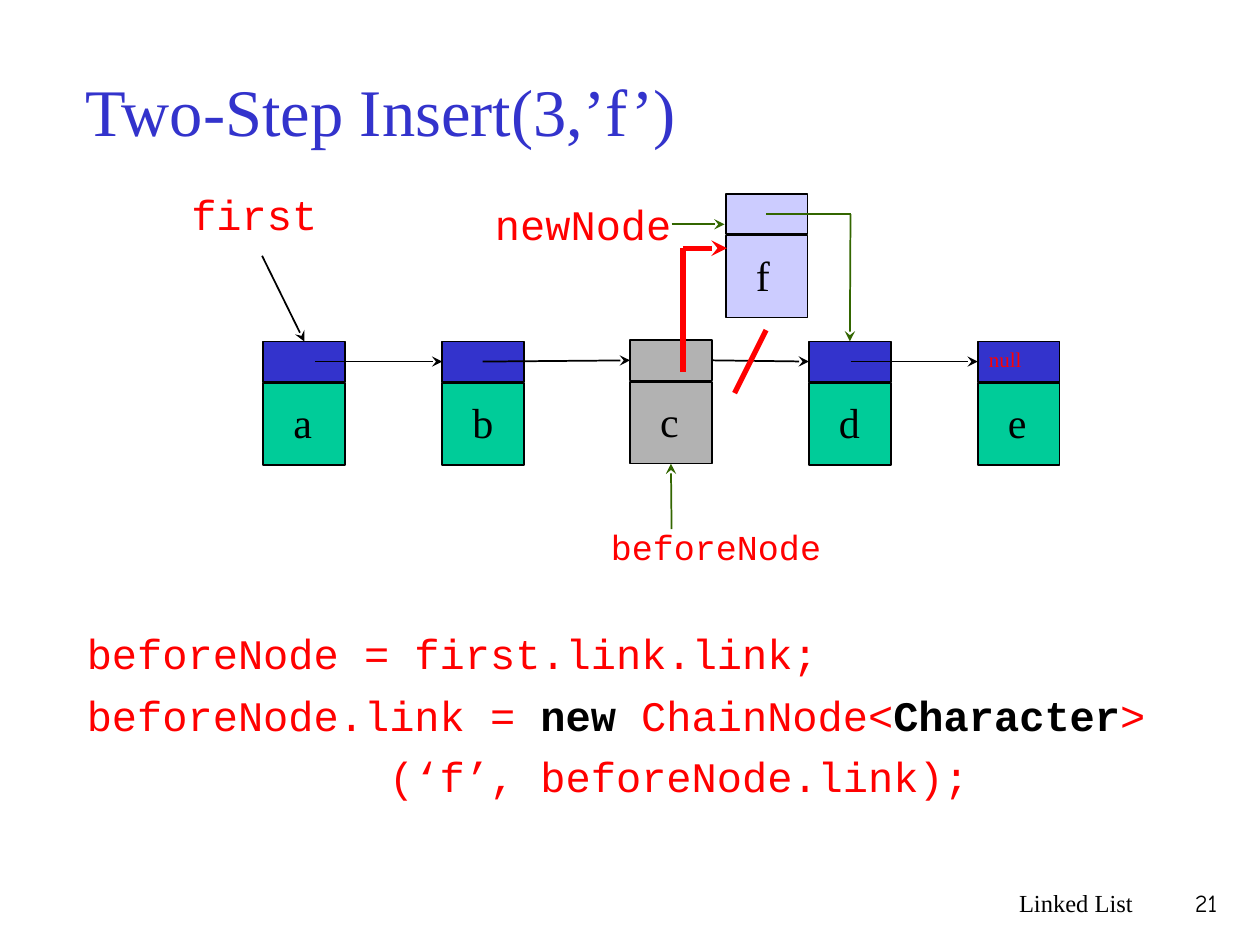
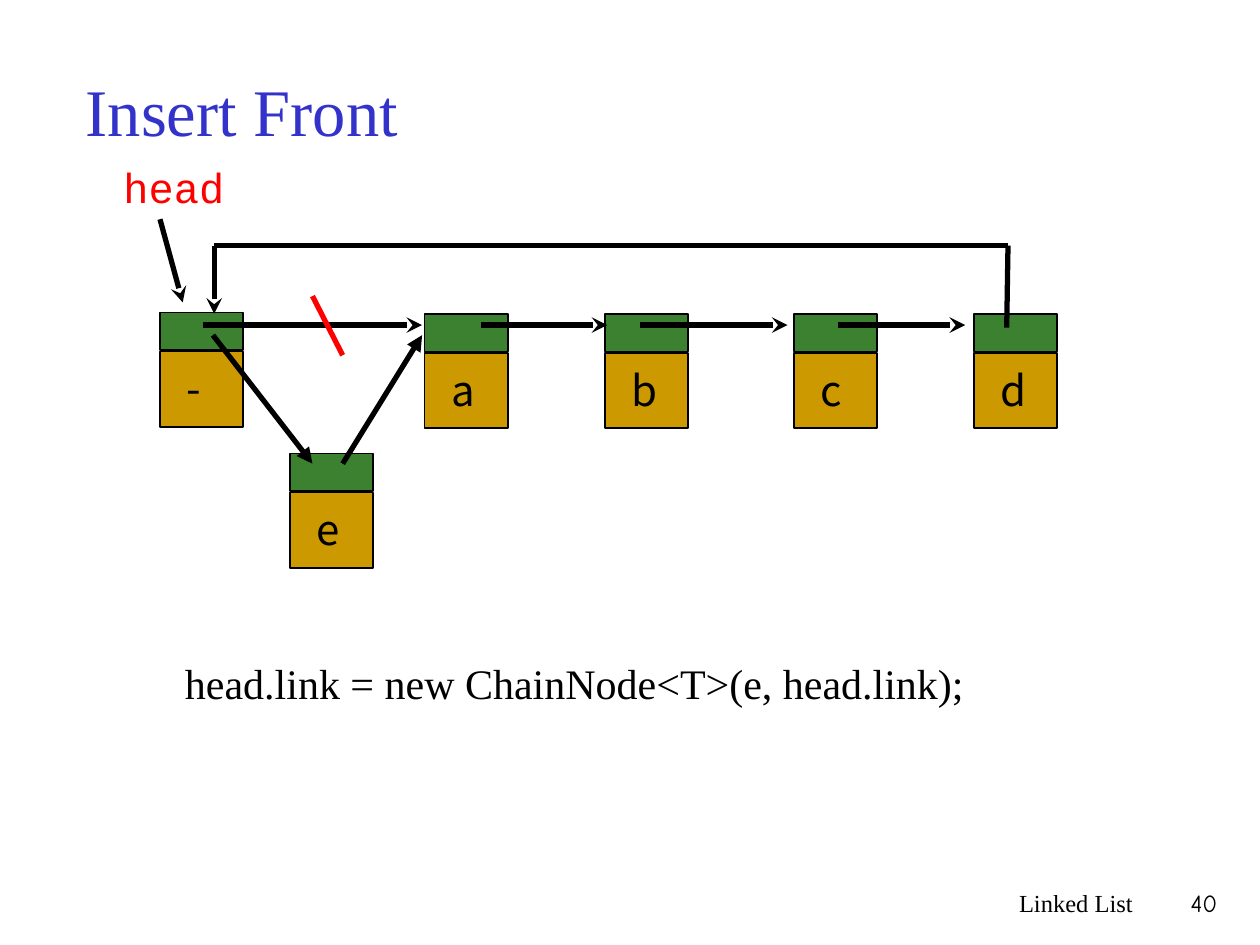
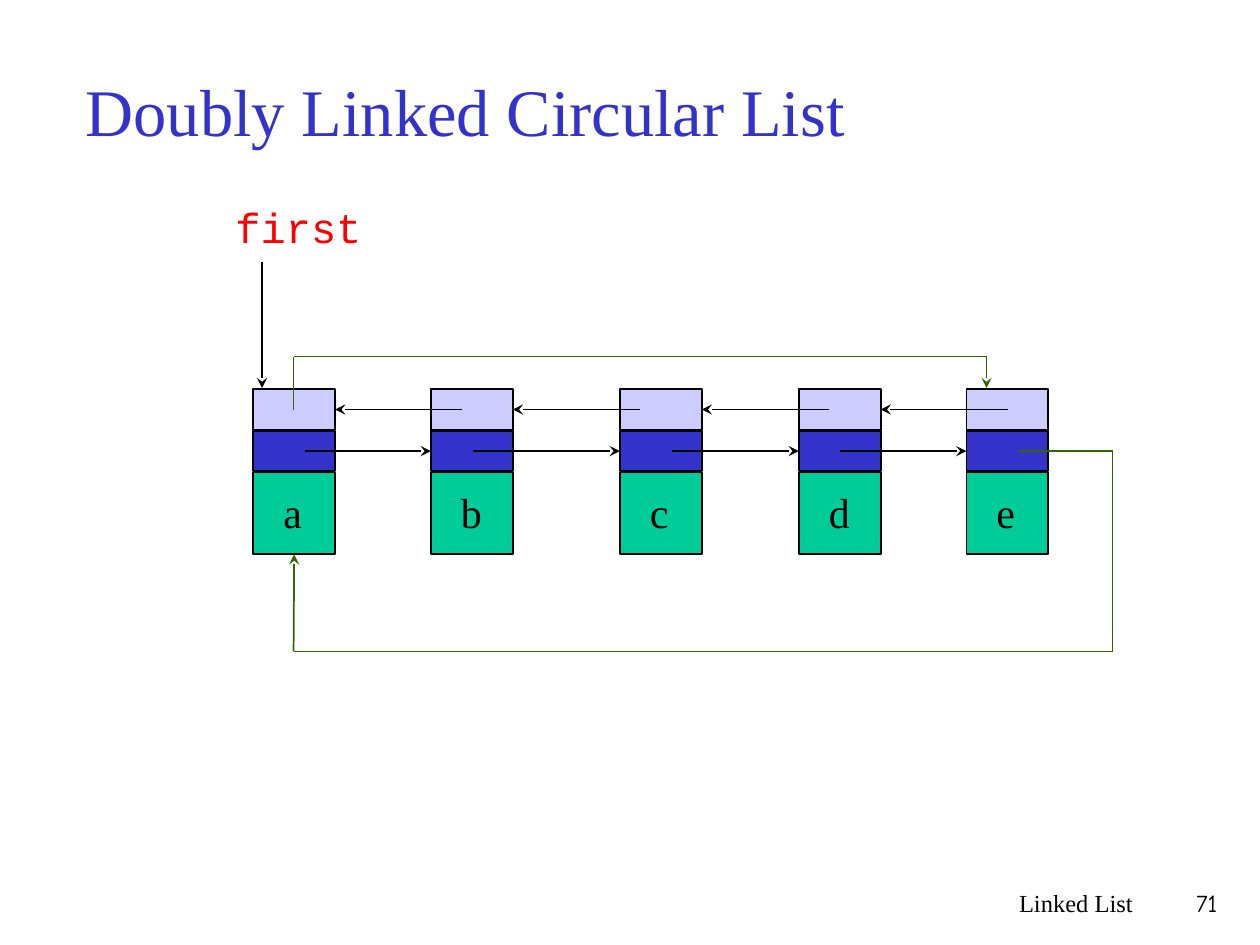
"""Build three slides that show pointer changes in linked lists."""
from lxml import etree
from pptx import Presentation
from pptx.dml.color import RGBColor
from pptx.enum.shapes import MSO_CONNECTOR, MSO_SHAPE
from pptx.enum.text import MSO_ANCHOR, PP_ALIGN
from pptx.oxml.ns import qn
from pptx.util import Inches, Pt

STRAIGHT, RECT = MSO_CONNECTOR.STRAIGHT, MSO_SHAPE.RECTANGLE
LEFT, RIGHT, MIDDLE = PP_ALIGN.LEFT, PP_ALIGN.RIGHT, MSO_ANCHOR.MIDDLE
TOP_SIDE, LEFT_SIDE, BOTTOM_SIDE, RIGHT_SIDE = range(4)

COLORS = {
    "black": "000000", "red": "FF0000", "blue": "3333CC", "teal": "00CC99",
    "lilac": "CCCCFF", "gray": "B2B2B2", "green": "336600",
    "leaf": "3B812F", "gold": "CC9900",
}
SERIF, MONO, SANS, COMIC = "Times New Roman", "Courier New", "Noto Sans CJK KR", "Comic Neue"
TITLE = dict(name=SERIF, size=38, color="blue")
LABEL = dict(name=MONO, size=24, color="red")
SMALL_LABEL = dict(name=MONO, size=20, color="red")
NULL = dict(name=SERIF, size=12, color="red")
KEYWORD = dict(name=MONO, size=24, color="black", bold=True)
SERIF_TEXT = dict(name=SERIF, size=24, color="black")
SANS_TEXT = dict(name=SANS, size=24, color="black")
FOOTER = dict(name=SERIF, size=14, color="black")
NUMBER = dict(name=COMIC, size=14, color="black")

WIDE, TIGHT = (0.1, 0.05), (0.07, 0.04)
LARGE_NODE = dict(width=0.65, link=0.32, data=0.65, step=0.33,
                  letter=(0.14, 0.06, 0.35, 0.5), font=SERIF_TEXT, inset=WIDE)
SMALL_NODE = dict(width=0.66, link=0.3, data=0.6, step=0.31,
                  letter=(0.14, 0.05, 0.33, 0.47), font=SANS_TEXT, inset=TIGHT)

BLACK = dict(color="black", width=1, tail="stealth")
GREEN = dict(color="green", width=1, tail="stealth")
THICK = dict(color="black", width=3, tail="stealth")
THICK_TRIANGLE = dict(color="black", width=3, tail="triangle")
RED = dict(color="red", width=3, tail="stealth")
RED_SLASH = dict(color="red", width=3, tail=None)

USUAL = dict(link="blue", data="teal")
DOUBLE = dict(prev="lilac", link="blue", data="teal")
NEW = dict(link="lilac", data="lilac")
FOUND = dict(link="gray", data="gray")
CIRCULAR = dict(link="leaf", data="gold")

SLIDES = [
    dict(
        title="Two-Step Insert(3,’f’)", number="21", node=LARGE_NODE,
        nodes=[("a", 2.09, 2.71, USUAL), ("b", 3.51, 2.71, USUAL),
               ("c", 5, 2.7, FOUND), ("d", 6.42, 2.71, USUAL),
               ("e", 7.76, 2.71, USUAL), ("f", 5.76, 1.54, NEW)],
        paths=[
            (BLACK, (2.5, 2.87), ("b", "link", LEFT_SIDE)),
            (BLACK, (3.83, 2.87), ("c", "link", LEFT_SIDE)),
            (BLACK, ("c", "link", RIGHT_SIDE), ("d", "link", LEFT_SIDE)),
            (BLACK, (6.75, 2.87), ("e", "link", LEFT_SIDE)),
            (BLACK, (2.08, 2.03), ("a", "link", TOP_SIDE)),
            (GREEN, (6.08, 1.7), (6.75, 1.7), ("d", "link", TOP_SIDE)),
            (GREEN, (5.33, 1.78), (5.75, 1.78)),
            (GREEN, (5.33, 4.2), ("c", "data", BOTTOM_SIDE)),
            (RED_SLASH, (6.08, 2.62), (5.83, 3.12)),
            (RED, (5.42, 2.95), (5.42, 1.97), (5.77, 1.97)),
        ],
        labels=[("null", (7.75, 2.7, 0.67, 0.3), NULL),
                ("first", (1.42, 1.45, 1.83, 0.5), LABEL),
                ("newNode", (3.83, 1.53, 1.67, 0.5), LABEL),
                ("beforeNode", (4.75, 4.12, 2, 0.43), SMALL_LABEL)],
        code_box=(0.59, 4.93, 8.85, 1.47),
        code=[
            (0, [("beforeNode = first.link.link;", LABEL)]),
            (0, [("beforeNode.link = ", LABEL), ("new ", KEYWORD), ("ChainNode<", LABEL),
                 ("Character", KEYWORD), (">", LABEL)]),
            (2.4, [("(‘f’, beforeNode.link);", LABEL)]),
        ],
    ),
    dict(
        title="Insert Front", number="40", node=SMALL_NODE,
        nodes=[("a", 3.37, 2.49, CIRCULAR), ("b", 4.8, 2.49, CIRCULAR),
               ("c", 6.3, 2.49, CIRCULAR), ("d", 7.73, 2.49, CIRCULAR),
               ("-", 1.27, 2.48, CIRCULAR), ("e", 2.3, 3.6, CIRCULAR)],
        paths=[
            (THICK, (1.61, 2.58), (3.35, 2.58)),
            (THICK, (3.82, 2.58), (4.82, 2.58)),
            (THICK, (5.08, 2.58), (6.25, 2.58)),
            (THICK, (6.65, 2.58), (7.66, 2.58)),
            (THICK, (1.27, 1.74), (1.45, 2.4)),
            (THICK, (7.99, 2.6), (8, 1.95), (1.7, 1.95), (1.7, 2.49)),
            (THICK_TRIANGLE, (2.72, 3.68), (3.35, 2.66)),
            (THICK_TRIANGLE, (1.69, 2.66), (2.48, 3.68)),
            (RED_SLASH, (2.48, 2.35), (2.72, 2.82)),
        ],
        labels=[("head", (0.91, 1.24, 1.43, 0.66), LABEL)],
        code_box=(1.37, 5.17, 6.44, 0.46),
        code=[(0, [("head.link = new ChainNode<T>(e, head.link);", SERIF_TEXT)])],
    ),
    dict(
        title="Doubly Linked Circular List", number="71", node=LARGE_NODE,
        nodes=[(letter, x, 3.42, DOUBLE)
               for letter, x in zip("abcde", (2.01, 3.42, 4.92, 6.34, 7.67))],
        paths=[
            *[(BLACK, (x, 3.58), (letter, "link", LEFT_SIDE))
              for letter, x in zip("bcde", (2.42, 3.75, 5.33, 6.67))],
            *[(BLACK, (x, 3.25), (letter, "prev", RIGHT_SIDE))
              for letter, x in zip("abcd", (3.67, 5.08, 6.58, 8))],
            (BLACK, (2.08, 2.08), (2.08, 3.08)),
            (GREEN, (8.08, 3.58), (8.83, 3.58), (8.83, 5.17), (2.33, 5.17),
             ("a", "data", BOTTOM_SIDE)),
            (GREEN, (2.33, 3.25), (2.33, 2.83), (7.83, 2.83), (7.83, 3.08)),
        ],
        labels=[("first", (1.77, 1.55, 1.83, 0.5), LABEL)],
    ),
]


def rgb(name):
    return RGBColor.from_string(COLORS[name])


def inches(values):
    return [Inches(v) for v in values]


def format_run(r, style):
    values = dict(style)
    r.font.color.rgb = rgb(values.pop("color"))
    values["size"] = Pt(values["size"])
    for key, value in values.items():
        setattr(r.font, key, value)


def add_text(s, box, paragraphs, inset=WIDE, wrap=True, align=LEFT, gap=0):
    tf = s.shapes.add_textbox(*inches(box)).text_frame
    x, y = inches(inset)
    for key, value in dict(word_wrap=wrap, margin_left=x, margin_right=x,
                           margin_top=y, margin_bottom=y).items():
        setattr(tf, key, value)
    for i, (indent, runs) in enumerate(paragraphs):
        p = tf.add_paragraph() if i else tf.paragraphs[0]
        p.alignment = align
        p.space_after = Pt(gap)
        if indent:
            p._p.get_or_add_pPr().set("marL", str(Inches(indent)))
        for text, style in runs:
            r = p.add_run()
            r.text = text
            format_run(r, style)


def add_cell(s, box, color):
    sp = s.shapes.add_shape(RECT, *inches(box))
    sp.shadow.inherit = False
    sp.fill.solid()
    sp.fill.fore_color.rgb = rgb(color)
    sp.line.color.rgb = rgb("black")
    sp.line.width = Pt(1)
    return sp


def add_node(s, letter, x, y, colors, node):
    tops = dict(prev=y - node["step"], link=y, data=y + node["step"])
    cells = {}
    for part, color in colors.items():
        height = node["data" if part == "data" else "link"]
        cells[part] = add_cell(s, (x, tops[part], node["width"], height), color)
    dx, dy, w, h = node["letter"]
    add_text(s, (x + dx, tops["data"] + dy, w, h), [(0, [(letter, node["font"])])],
             inset=node["inset"], wrap=False)
    return cells


def add_segment(s, start, end, cells, style, tail):
    points = [p if len(p) == 2 else (0, 0) for p in (start, end)]
    c = s.shapes.add_connector(STRAIGHT, *inches(points[0] + points[1]))
    for point, connect in ((start, c.begin_connect), (end, c.end_connect)):
        if len(point) == 3:
            letter, part, side = point
            connect(cells[letter][part], side)
    c.line.color.rgb = rgb(style["color"])
    c.line.width = Pt(style["width"])
    spPr = c._element.spPr
    if tail:
        etree.SubElement(spPr.find(qn("a:ln")), qn("a:tailEnd"), type=tail)
    etree.SubElement(spPr, qn("a:effectLst"))


def add_path(s, style, points, cells):
    last = len(points) - 2
    for i, (start, end) in enumerate(zip(points, points[1:])):
        add_segment(s, start, end, cells, style, style["tail"] if i == last else None)


def add_title(s, text):
    sp = s.shapes.title
    sp.left, sp.top, sp.width, sp.height = inches((0.58, 0.25, 8.5, 1.25))
    tf = sp.text_frame
    tf.vertical_anchor = MIDDLE
    p = tf.paragraphs[0]
    p.alignment = LEFT
    r = p.add_run()
    r.text = text
    format_run(r, TITLE)


def add_slide(prs, content):
    s = prs.slides.add_slide(prs.slide_layouts[5])
    add_title(s, content["title"])
    node = content["node"]
    cells = {n[0]: add_node(s, *n, node) for n in content["nodes"]}
    for style, *points in content["paths"]:
        add_path(s, style, points, cells)
    for text, box, style in content["labels"]:
        add_text(s, box, [(0, [(text, style)])], inset=node["inset"])
    if "code" in content:
        add_text(s, content["code_box"], content["code"], gap=6.5)
    add_text(s, (5.92, 7, 3.17, 0.5), [(0, [("Linked List", FOOTER)])], align=RIGHT)
    add_text(s, (9.08, 7, 0.68, 0.5), [(0, [(content["number"], NUMBER)])], align=RIGHT)


def main():
    prs = Presentation()
    prs.slide_width, prs.slide_height = Inches(10), Inches(7.5)
    for content in SLIDES:
        add_slide(prs, content)
    prs.save("out.pptx")


if __name__ == "__main__":
    main()
